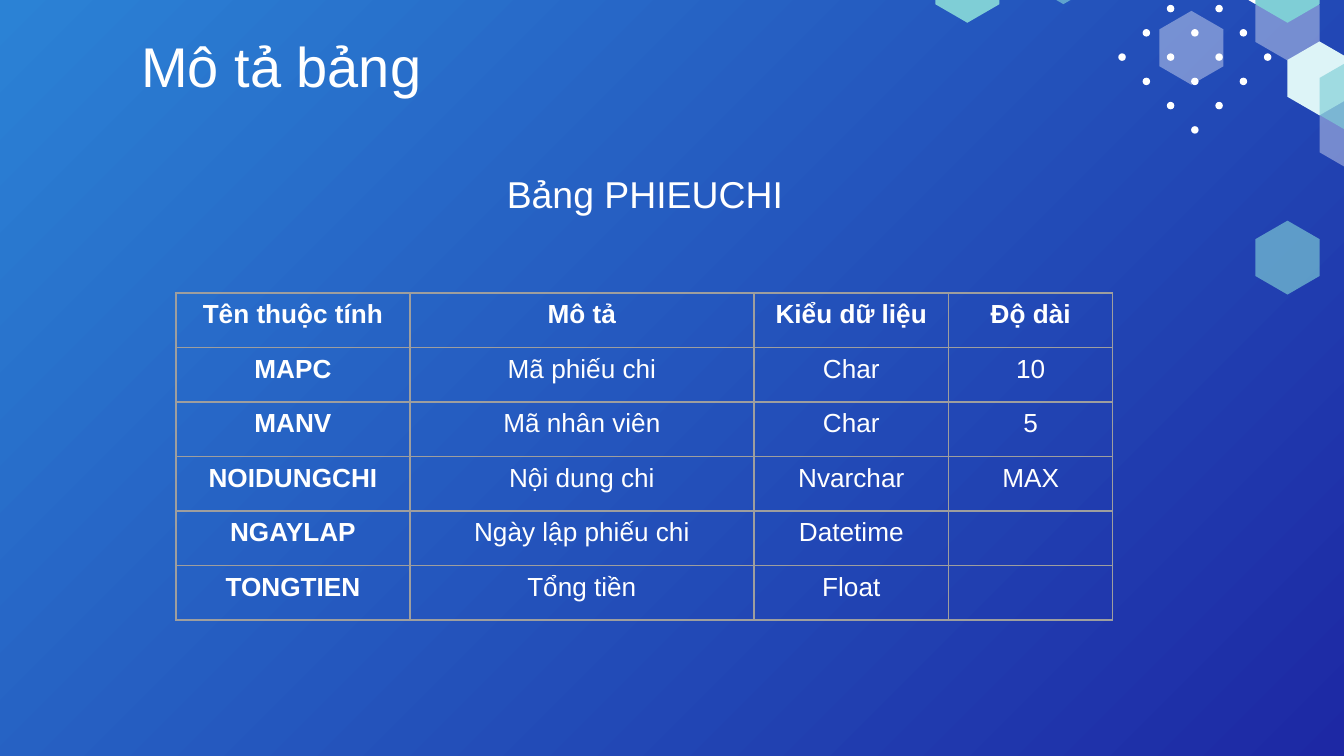
from dataclasses import dataclass

from lxml import etree
from pptx import Presentation
from pptx.dml.color import RGBColor
from pptx.enum import shapes, text
from pptx.oxml import ns
from pptx.util import Pt


@dataclass(frozen=True)
class Theme:
    font: str = "Arial"
    white: str = "FFFFFF"
    teal: str = "7FCED6"
    ice: str = "DDF4F7"
    border: str = "9E9E9E"
    sky: str = "2B82D5"
    navy: str = "1D28A4"
    title: int = 30
    subtitle: int = 20
    cell: int = 14


THEME = Theme()

# Columns are counted in half hexagons from the cluster's left edge.
HEX_W, HEX_H = 34.3, 39.6
HEX_ORIGIN = 672.6
HEXAGONS = [  # column, top, colour, opacity in percent
    (0, -7.2, THEME.white, 38),
    (-1, -37.4, THEME.white, 100),
    (-7, -37.4, THEME.teal, 65),
    (1, 22.2, THEME.ice, 100),
    (2, 51.9, THEME.white, 38),
    (-3, 5.8, THEME.white, 38),
    (0, -27.4, THEME.teal, 100),
    (-10, -27.4, THEME.teal, 100),
    (2, 31.9, THEME.teal, 65),
    (0, 118.2, THEME.teal, 65),
]

COLUMN_WIDTHS = [125.3, 184.3, 104.4, 87.8]
ROW_HEIGHT = 29.2
ROWS = [
    ("Tên thuộc tính", "Mô tả", "Kiểu dữ liệu", "Độ dài"),
    ("MAPC", "Mã phiếu chi", "Char", "10"),
    ("MANV", "Mã nhân viên", "Char", "5"),
    ("NOIDUNGCHI", "Nội dung chi", "Nvarchar", "MAX"),
    ("NGAYLAP", "Ngày lập phiếu chi", "Datetime", ""),
    ("TONGTIEN", "Tổng tiền", "Float", ""),
]


def rgb(colour):
    return RGBColor.from_string(colour)


def paint_background(s):
    fill = s.background.fill
    fill.gradient()
    fill.gradient_angle = 315
    for stop, colour in zip(fill.gradient_stops, (THEME.sky, THEME.navy)):
        stop.color.rgb = rgb(colour)


def paint(sp, colour, opacity=100):
    sp.shadow.inherit = False
    sp.fill.solid()
    sp.fill.fore_color.rgb = rgb(colour)
    sp.line.fill.background()
    if opacity < 100:
        clr = sp.fill._xPr.find(".//" + ns.qn("a:srgbClr"))
        etree.SubElement(clr, ns.qn("a:alpha"), val=str(opacity * 1000))


def add_dots(s, cx=640.1, cy=30.6, step=13, size=4):
    """Place dots on alternate points of a diamond cut off by the slide top."""
    for row in range(-2, 4):
        for col in range(-3, 4):
            if (row + col) % 2 and abs(row) + abs(col) <= 3:
                left = cx + col * step - size / 2
                top = cy + row * step - size / 2
                dot = s.shapes.add_shape(shapes.MSO_SHAPE.OVAL, Pt(left), Pt(top),
                                         Pt(size), Pt(size))
                paint(dot, THEME.white)


def add_hexagon(s, column, top, colour, opacity):
    left = HEX_ORIGIN + column * HEX_W / 2
    corners = [(0.5, 0), (1, 0.25), (1, 0.75), (0.5, 1), (0, 0.75), (0, 0.25)]
    points = [(Pt(left + x * HEX_W), Pt(top + y * HEX_H)) for x, y in corners]
    builder = s.shapes.build_freeform(*points[0])
    builder.add_line_segments(points[1:], close=True)
    paint(builder.convert_to_shape(), colour, opacity)


def write(tf, words, size, bold=False):
    p = tf.paragraphs[0]
    p.alignment = text.PP_ALIGN.CENTER
    r = p.add_run()
    r.text = words
    r.font.name = THEME.font
    r.font.size = Pt(size)
    r.font.bold = bold
    r.font.color.rgb = rgb(THEME.white)


def set_heading(sp, words, size):
    tf = sp.text_frame
    tf.word_wrap = True
    tf.auto_size = text.MSO_AUTO_SIZE.NONE
    tf.vertical_anchor = text.MSO_ANCHOR.BOTTOM
    tf.margin_left = tf.margin_right = tf.margin_top = tf.margin_bottom = Pt(7.2)
    write(tf, words, size)


def add_title(s, words):
    sp = s.shapes.title
    sp.left, sp.top, sp.width, sp.height = Pt(35.3), Pt(15.8), Pt(231), Pt(44.6)
    set_heading(sp, words, THEME.title)


def add_subtitle(s, words):
    sp = s.shapes.add_textbox(Pt(136.8), Pt(78.5), Pt(417.6), Pt(44.6))
    set_heading(sp, words, THEME.subtitle)


def set_borders(cell):
    tc_pr = cell._tc.get_or_add_tcPr()
    for i, side in enumerate(("a:lnL", "a:lnR", "a:lnT", "a:lnB")):
        ln = etree.Element(ns.qn(side), w=str(Pt(0.75)))
        fill = etree.SubElement(ln, ns.qn("a:solidFill"))
        etree.SubElement(fill, ns.qn("a:srgbClr"), val=THEME.border)
        tc_pr.insert(i, ln)


def add_attribute_table(s):
    frame = s.shapes.add_table(len(ROWS), len(COLUMN_WIDTHS), Pt(94.3), Pt(157),
                               Pt(sum(COLUMN_WIDTHS)), Pt(ROW_HEIGHT * len(ROWS)))
    table = frame.table
    table.first_row = table.horz_banding = False
    for column, width in zip(table.columns, COLUMN_WIDTHS):
        column.width = Pt(width)
    for i, row in enumerate(ROWS):
        table.rows[i].height = Pt(ROW_HEIGHT)
        for j, words in enumerate(row):
            cell = table.cell(i, j)
            cell.fill.background()
            set_borders(cell)
            if words:
                write(cell.text_frame, words, THEME.cell, bold=i == 0 or j == 0)


def main():
    prs = Presentation()
    prs.slide_width, prs.slide_height = Pt(720), Pt(405)
    s = prs.slides.add_slide(prs.slide_layouts[5])
    paint_background(s)
    add_dots(s)
    for hexagon in HEXAGONS:
        add_hexagon(s, *hexagon)
    add_title(s, "Mô tả bảng")
    add_attribute_table(s)
    add_subtitle(s, "Bảng PHIEUCHI")
    prs.save("out.pptx")


if __name__ == "__main__":
    main()
